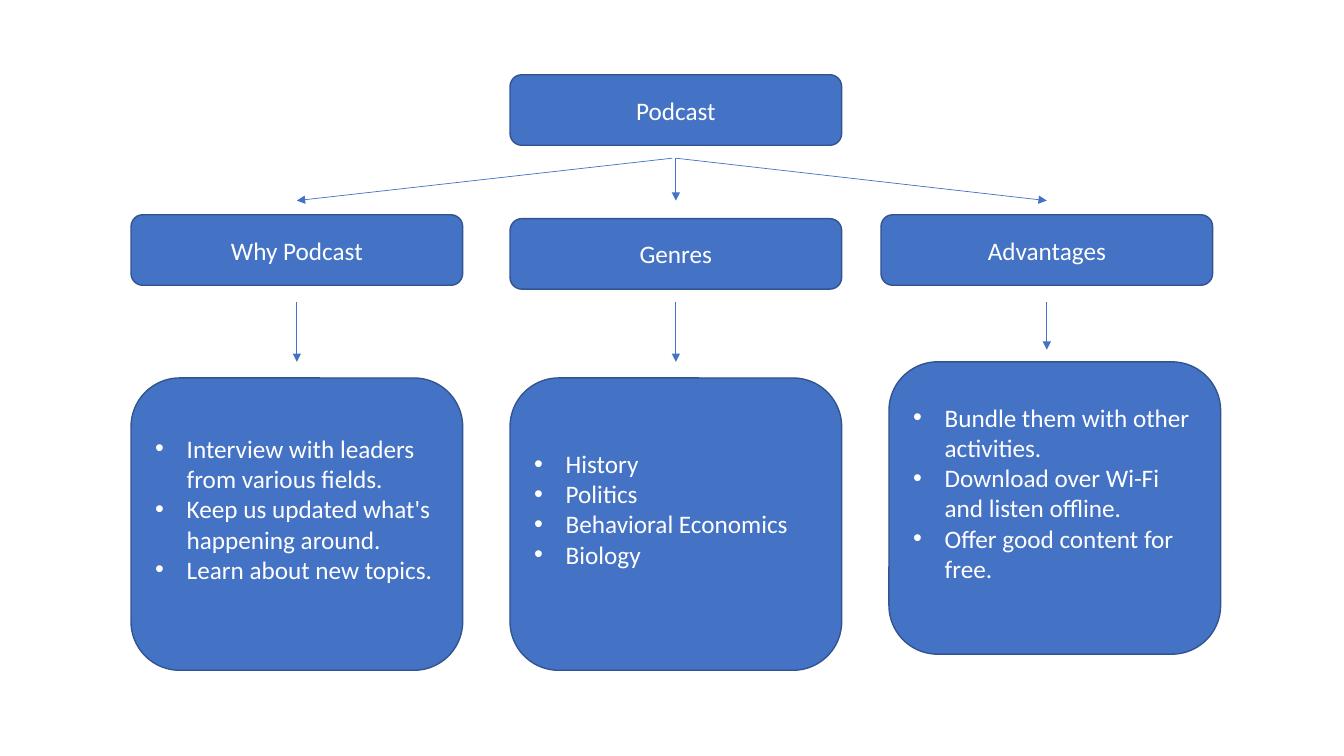
from lxml import etree
from pptx import Presentation
from pptx.dml.color import RGBColor
from pptx.enum.shapes import MSO_CONNECTOR, MSO_SHAPE
from pptx.enum.text import MSO_ANCHOR, PP_ALIGN
from pptx.oxml.ns import qn
from pptx.util import Pt

ROUNDED = MSO_SHAPE.ROUNDED_RECTANGLE
STRAIGHT = MSO_CONNECTOR.STRAIGHT
MIDDLE = MSO_ANCHOR.MIDDLE
LEFT, CENTER = PP_ALIGN.LEFT, PP_ALIGN.CENTER

BLUE, DARK_BLUE, WHITE = "4472C4", "325491", "FFFFFF"
BOX_WIDTH, HEADING_HEIGHT, LIST_HEIGHT = 236.9, 50.4, 208.8
ROOT_LEFT, ROOT_TOP = 364.3, 53.4
BRANCH_START, BRANCH_END, LIST_ARROW_START = 113, 143.3, 216
INDENT = 22.5
LINE_HEIGHT = 22

BRANCHES = [
    dict(title="Why Podcast", left=93.6, top=153.4, branch_x=480.2,
         arrow_end=258.5, list_left=93.6, list_top=270,
         points=["Interview with leaders from various fields.",
                 "Keep us updated what's happening around.",
                 "Learn about new topics."]),
    dict(title="Genres", left=364.3, top=156.2, branch_x=482.75,
         arrow_end=258.5, list_left=364.3, list_top=270,
         points=["History", "Politics", "Behavioral Economics", "Biology"]),
    dict(title="Advantages", left=629.3, top=153.4, branch_x=482.75,
         arrow_end=249.8, list_left=635, list_top=258.5,
         points=["Bundle them with other activities.",
                 "Download over Wi-Fi and listen offline.",
                 "Offer good content for free."]),
]


def color(hex_string):
    return RGBColor.from_string(hex_string)


def add_bullet(para):
    properties = para._p.get_or_add_pPr()
    properties.set("marL", str(Pt(INDENT)))
    properties.set("indent", str(-Pt(INDENT)))
    etree.SubElement(properties, qn("a:buFont")).set("typeface", "Arial")
    etree.SubElement(properties, qn("a:buChar")).set("char", "•")


def write(para, text, size=18, font="Calibri", fill=WHITE, align=CENTER, bullet=False):
    para.alignment = align
    if bullet:
        add_bullet(para)
    span = para.add_run()
    span.text = text
    span.font.size = Pt(size)
    span.font.name = font
    span.font.color.rgb = color(fill)


def add_box(page, left, top, height):
    box = page.shapes.add_shape(ROUNDED, Pt(left), Pt(top), Pt(BOX_WIDTH), Pt(height))
    box.shadow.inherit = False
    box.fill.solid()
    box.fill.fore_color.rgb = color(BLUE)
    box.line.color.rgb = color(DARK_BLUE)
    box.line.width = Pt(1)
    box.text_frame.word_wrap = True
    box.text_frame.vertical_anchor = MIDDLE
    return box


def add_heading(page, text, left, top):
    box = add_box(page, left, top, HEADING_HEIGHT)
    write(box.text_frame.paragraphs[0], text)


def add_list(page, points, left, top):
    frame = add_box(page, left, top, LIST_HEIGHT).text_frame
    frame.margin_bottom += Pt(LINE_HEIGHT)
    for index, point in enumerate(points):
        para = frame.add_paragraph() if index else frame.paragraphs[0]
        write(para, point, align=LEFT, bullet=True)


def add_arrow(page, start_x, start_y, end_x, end_y):
    arrow = page.shapes.add_connector(
        STRAIGHT, Pt(start_x), Pt(start_y), Pt(end_x), Pt(end_y))
    arrow.line.color.rgb = color(BLUE)
    arrow.line.width = Pt(0.5)
    etree.SubElement(arrow.line._get_or_add_ln(), qn("a:tailEnd")).set("type", "triangle")
    etree.SubElement(arrow._element.spPr, qn("a:effectLst"))


def main():
    deck = Presentation()
    deck.slide_width, deck.slide_height = Pt(960), Pt(540)
    page = deck.slides.add_slide(deck.slide_layouts[6])
    add_heading(page, "Podcast", ROOT_LEFT, ROOT_TOP)
    for branch in BRANCHES:
        center = branch["left"] + BOX_WIDTH / 2
        add_heading(page, branch["title"], branch["left"], branch["top"])
        add_list(page, branch["points"], branch["list_left"], branch["list_top"])
        add_arrow(page, branch["branch_x"], BRANCH_START, center, BRANCH_END)
        add_arrow(page, center, LIST_ARROW_START, center, branch["arrow_end"])
    deck.save("out.pptx")


if __name__ == "__main__":
    main()
